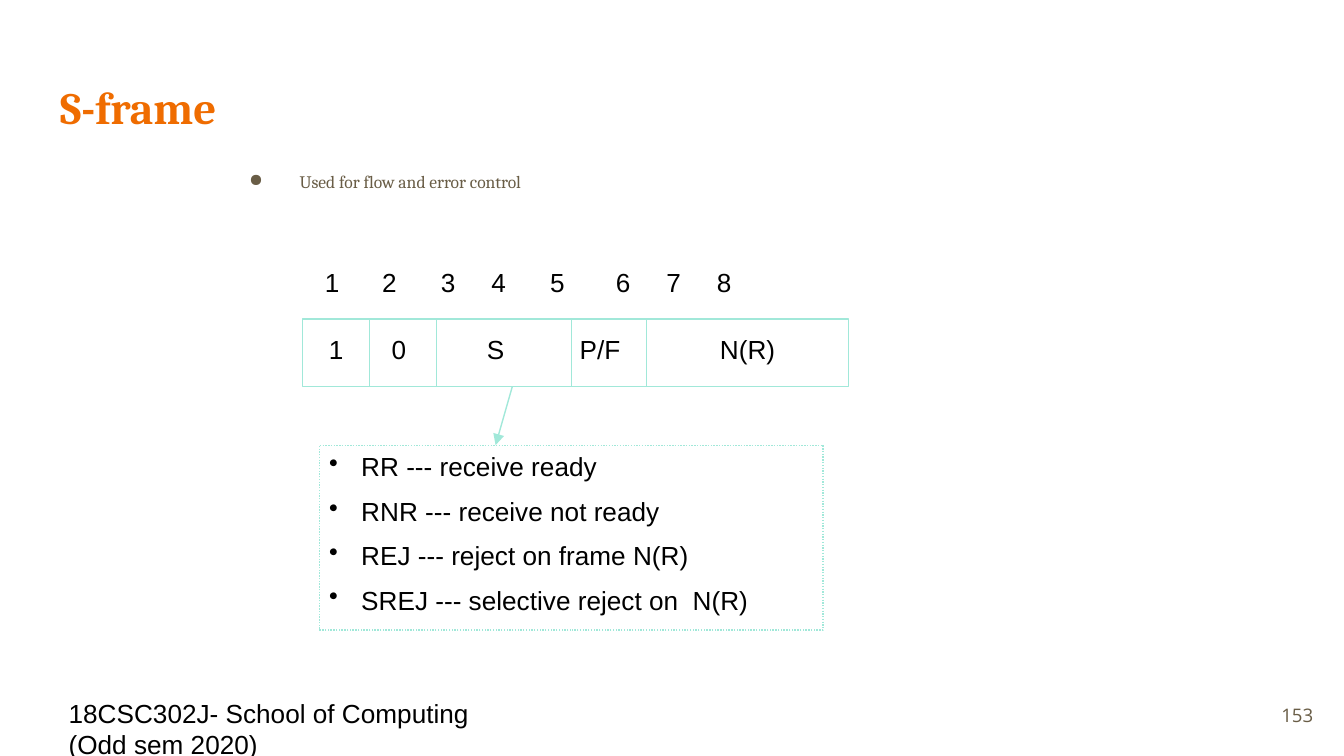
from lxml.etree import SubElement
from pptx import Presentation
from pptx.dml.color import RGBColor
from pptx.enum.dml import MSO_LINE
from pptx.enum.shapes import MSO_CONNECTOR, MSO_SHAPE
from pptx.enum.text import MSO_ANCHOR as Anchor, PP_ALIGN as Align
from pptx.oxml.ns import qn
from pptx.util import Pt

PX = 9525  # 96 px to the inch

ORANGE = RGBColor(0xEF, 0x6C, 0x00)
BROWN = RGBColor(0x69, 0x5D, 0x46)
MINT = RGBColor(0xA1, 0xE8, 0xD9)
BLACK = RGBColor(0, 0, 0)

TITLE = {"name": "Cambria", "size": Pt(24), "bold": True, "color": ORANGE}
BODY = {"name": "Cambria", "size": Pt(9.4), "color": BROWN}
LABEL = {"name": "Arial", "size": Pt(14), "color": BLACK}
NUMBER = {"name": "Open Sans", "size": Pt(10), "color": BROWN}

WIDE_INSET = (10, 10)
INSET = (7, 4)


def emu(*lengths):
    return [length * PX for length in lengths]


def set_font(font, values):
    for key, value in values.items():
        if key == "color":
            font.color.rgb = value
        else:
            setattr(font, key, value)


def add_bullet(para, mark, color, margin, hang):
    props = para._p.get_or_add_pPr()
    props.set("marL", str(margin * PX))
    props.set("indent", str(-hang * PX))
    tint = SubElement(props, qn("a:buClr"))
    SubElement(tint, qn("a:srgbClr"), val=str(color))
    SubElement(props, qn("a:buChar"), char=mark)


def add_tabs(para, stops):
    tabs = SubElement(para._p.get_or_add_pPr(), qn("a:tabLst"))
    for stop in stops:
        SubElement(tabs, qn("a:tab"), pos=str(stop * PX), algn="l")


def write(box, lines, font, inset=INSET, anchor=Anchor.TOP, bullet=None,
          stops=None, gap=None, **layout):
    """Fill a shape with one paragraph per line, with a gap between them."""
    frame = box.text_frame
    across, down = emu(*inset)
    settings = {"word_wrap": True, "vertical_anchor": anchor,
                "margin_left": across, "margin_right": across,
                "margin_top": down, "margin_bottom": down}
    for key, value in settings.items():
        setattr(frame, key, value)
    for index, line in enumerate(lines):
        para = frame.add_paragraph() if index else frame.paragraphs[0]
        if bullet:
            add_bullet(para, *bullet)
        if stops:
            add_tabs(para, stops)
        if index and gap:
            para.space_before = gap
        para.alignment = Align.LEFT
        for key, value in layout.items():
            setattr(para, key, value)
        span = para.add_run()
        span.text = line
        for target in (para.font, span.font):
            set_font(target, font)


def add_text(page, box, line, font, **options):
    write(page.shapes.add_textbox(*emu(*box)), [line], font, **options)


def set_line(line, dash=None):
    line.color.rgb = MINT
    line.width = Pt(0.75)
    if dash:
        line.dash_style = dash


def add_outline(page, box, dash=None):
    shape = page.shapes.add_shape(MSO_SHAPE.RECTANGLE, *emu(*box))
    shape.shadow.inherit = False
    shape.fill.background()
    set_line(shape.line, dash)
    return shape


def add_line(page, start, end, arrow=False):
    link = page.shapes.add_connector(MSO_CONNECTOR.STRAIGHT, *emu(*start, *end))
    set_line(link.line)
    if arrow:
        SubElement(link.line._get_or_add_ln(), qn("a:tailEnd"), type="triangle")
    SubElement(link._element.spPr, qn("a:effectLst"))


def add_heading(page, box):
    left, top, width, _ = box
    add_text(page, (left, top, width, 74), "S-frame", TITLE, inset=WIDE_INSET)
    add_text(page, (left + 123, top + 61, 606, 42),
             "Used for flow and error control", BODY, inset=WIDE_INSET,
             bullet=("●", BROWN, 48, 36), line_spacing=1.3)


def add_bit_numbers(page, box):
    stops = [21, 62, 104, 140, 182, 229, 265, 301]
    digits = "".join(f"\t{bit}" for bit in range(1, len(stops) + 1))
    add_text(page, box, digits, LABEL, stops=stops)


def add_frame_fields(page, box):
    left, top, width, height = box
    add_outline(page, box)
    for divider in (48, 96, 192, 246):
        x = left + divider
        add_line(page, (x, top), (x, top + height))
    fields = [("1", 12, 30, Align.LEFT, INSET),
              ("0", 48, 42, Align.CENTER, INSET),
              ("S", 90, 96, Align.CENTER, INSET),
              ("P/F", 198, 42, Align.LEFT, (0, 4)),
              ("N(R)", 252, 132, Align.CENTER, INSET)]
    for name, offset, field_width, align, inset in fields:
        add_text(page, (left + offset, top + 6, field_width, 30), name, LABEL,
                 inset=inset, alignment=align)


def add_s_codes(page, box):
    """Dotted box that lists the meanings of the S field."""
    codes = ["RR --- receive ready",
             "RNR --- receive not ready",
             "REJ --- reject on frame N(R)",
             "SREJ --- selective reject on  N(R)"]
    write(add_outline(page, box, MSO_LINE.ROUND_DOT), codes, LABEL,
          bullet=("•", BLACK, 23, 23), gap=Pt(7))


def add_footer(page, box):
    left, top, width, height = box
    add_text(page, (left, top + 4, 324, 29),
             "18CSC302J- School of Computing (Odd sem 2020)", LABEL)
    add_text(page, (left + width - 58, top, 58, height), "153", NUMBER,
             inset=WIDE_INSET, anchor=Anchor.MIDDLE, alignment=Align.RIGHT)


def main():
    deck = Presentation()
    deck.slide_width, deck.slide_height = emu(960, 540)
    page = deck.slides.add_slide(deck.slide_layouts[6])
    add_heading(page, (33, 47, 895, 103))
    add_bit_numbers(page, (204, 186, 414, 30))
    add_frame_fields(page, (216, 228, 390, 48))
    add_s_codes(page, (228, 318, 360, 132))
    add_line(page, (366, 276), (354, 318), arrow=True)
    add_footer(page, (42, 490, 906, 41))
    deck.save("out.pptx")


if __name__ == "__main__":
    main()
